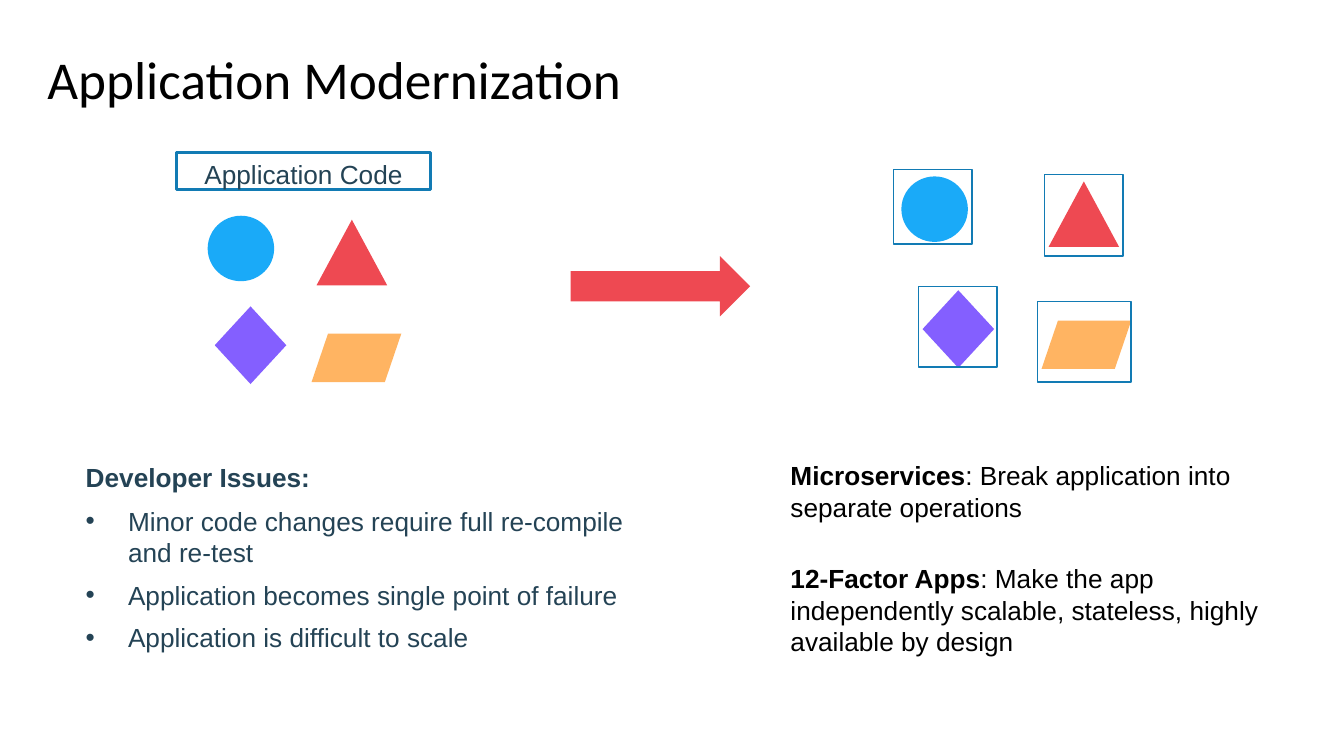
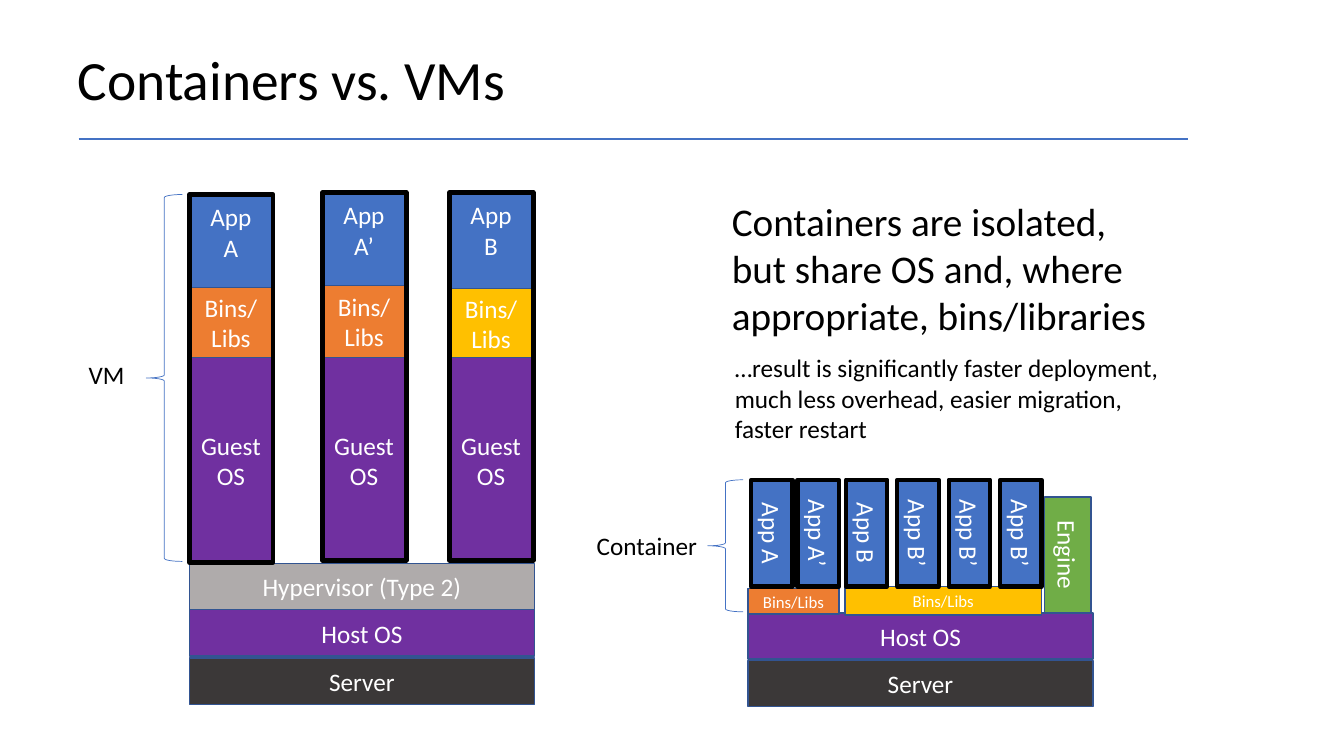
"""Build two slides on application modernization and containers."""
from dataclasses import dataclass

from lxml import etree
from pptx import Presentation
from pptx.dml.color import RGBColor
from pptx.enum.shapes import MSO_CONNECTOR, MSO_SHAPE as Preset
from pptx.enum.text import MSO_ANCHOR as Anchor, MSO_AUTO_SIZE, PP_ALIGN as Align
from pptx.oxml.ns import qn
from pptx.shapes.autoshape import Shape
from pptx.slide import Slide
from pptx.text.text import TextFrame
from pptx.util import Pt

EMU_PER_PX = 9144
COLORS = {
    "black": "000000", "white": "FFFFFF", "slate": "244355", "frame": "127BB4",
    "sky": "1AAAF8", "coral": "EE4952", "violet": "845FFF", "apricot": "FFB462",
    "blue": "4472C4", "edge": "325491", "orange": "ED7D31", "gold": "FFC000",
    "purple": "7030A0", "gray": "AFABAB", "charcoal": "3B3838", "green": "70AD47",
}


@dataclass(frozen=True)
class Box:
    """A place on the slide in px."""
    left: int
    top: int
    width: int
    height: int


@dataclass(frozen=True)
class TextStyle:
    """How the text of a box looks; insets run left, top, right, bottom."""
    size: float
    color: str = "black"
    font: str = "Calibri"
    align: Align = Align.LEFT
    anchor: Anchor = Anchor.TOP
    insets: tuple[int, int, int, int] = (10, 5, 10, 5)
    wrap: bool = True
    vertical: bool = False
    bullet: bool = False
    space_before: float = 0


@dataclass(frozen=True)
class Piece:
    """A colored figure of the application, before and after the split."""
    preset: Preset
    color: str
    before: Box
    after: Box
    frame: Box


@dataclass(frozen=True)
class Note:
    """A paragraph in its own box, opened by bold words."""
    box: Box
    color: str
    lead: str
    body: str = ""


@dataclass(frozen=True)
class Machine:
    """A virtual machine column."""
    left: int
    top: int
    bins_top: int
    app: str
    bins_color: str


@dataclass(frozen=True)
class Block:
    """A labelled layer of a stack."""
    box: Box
    color: str
    text: str
    size: float = 18


NO_INSETS = (0, 0, 0, 0)
CENTERED = dict(color="white", align=Align.CENTER)
LAYER = TextStyle(18, anchor=Anchor.MIDDLE, insets=NO_INSETS, **CENTERED)
SMALL_LAYER = TextStyle(12, anchor=Anchor.MIDDLE, insets=NO_INSETS, **CENTERED)
APP = TextStyle(18, insets=(0, 7, 0, 0), **CENTERED)
UPRIGHT = TextStyle(18, anchor=Anchor.MIDDLE, vertical=True, **CENTERED)
CODE = TextStyle(18.7, "slate", "Arial", Align.CENTER, insets=(0, 6, 0, 0))
BULLETS = TextStyle(18.7, "slate", "Arial", insets=(0, 2, 0, 0), bullet=True, space_before=8)
BRACE_LABEL = TextStyle(18, wrap=False)

PIECES = (
    Piece(Preset.OVAL, "sky", Box(206, 214, 66, 65), Box(894, 175, 66, 65), Box(886, 168, 78, 74)),
    Piece(Preset.ISOSCELES_TRIANGLE, "coral", Box(314, 218, 70, 65), Box(1040, 180, 70, 65),
          Box(1036, 173, 78, 81)),
    Piece(Preset.DIAMOND, "violet", Box(213, 304, 71, 77), Box(915, 288, 71, 77),
          Box(911, 284, 78, 80)),
    Piece(Preset.PARALLELOGRAM, "apricot", Box(309, 331, 89, 48), Box(1033, 318, 89, 48),
          Box(1029, 299, 93, 80)),
)
ISSUES = (
    "Minor code changes require full re-compile and re-test",
    "Application becomes single point of failure",
    "Application is difficult to scale",
)
NOTES = (
    Note(Box(85, 456, 225, 33), "slate", "Developer Issues:"),
    Note(Box(784, 454, 442, 65), "black", "Microservices",
         ": Break application into separate operations"),
    Note(Box(784, 556, 468, 96), "black", "12-Factor Apps",
         ": Make the app independently scalable, stateless, highly available by design"),
)
MACHINES = (
    Machine(188, 193, 285, "A", "orange"),
    Machine(320, 191, 283, "A’", "orange"),
    Machine(446, 191, 286, "B", "gold"),
)
GUEST_TOP, GUEST_BOTTOM = 355, 558
BLOCKS = (
    Block(Box(188, 559, 342, 46), "gray", "Hypervisor (Type 2)"),
    Block(Box(188, 605, 342, 46), "purple", "Host OS"),
    Block(Box(188, 653, 342, 46), "charcoal", "Server"),
    Block(Box(742, 608, 342, 46), "purple", "Host OS"),
    Block(Box(742, 655, 342, 46), "charcoal", "Server"),
    Block(Box(742, 584, 90, 25), "orange", "Bins/Libs", 12),
    Block(Box(838, 582, 195, 28), "gold", "Bins/Libs", 12),
)
CONTAINERS = ((745, "A"), (791, "A’"), (839, "B"), (890, "B’"), (941, "B’"), (992, "B’"))
BRACES = (
    (Box(145, 193, 36, 364), Box(78, 352, 56, 40), "VM"),
    (Box(702, 476, 35, 131), Box(582, 521, 121, 40), "Container"),
)


def px(length: int) -> int:
    """Turn px into EMU."""
    return length * EMU_PER_PX


def place(box: Box) -> tuple[int, int, int, int]:
    """Give a box in EMU."""
    return px(box.left), px(box.top), px(box.width), px(box.height)


def rgb(name: str) -> RGBColor:
    """Look up a color."""
    return RGBColor.from_string(COLORS[name])


def write(frame: TextFrame, lines: tuple[str, ...], style: TextStyle, lead: str = "") -> None:
    """Write one paragraph a line, the first opened by the bold lead."""
    frame.auto_size = MSO_AUTO_SIZE.NONE
    frame.word_wrap = style.wrap
    frame.vertical_anchor = style.anchor
    (frame.margin_left, frame.margin_top,
     frame.margin_right, frame.margin_bottom) = map(px, style.insets)
    if style.vertical:
        frame._txBody.bodyPr.set("vert", "vert")
    for index, line in enumerate(lines):
        paragraph = frame.add_paragraph() if index else frame.paragraphs[0]
        if lead and not index:
            run = paragraph.add_run()
            run.text = lead
            run.font.bold = True
        if line:
            paragraph.add_run().text = line
        if style.bullet:
            properties = paragraph._p.get_or_add_pPr()
            properties.set("marL", str(px(44)))
            properties.set("indent", str(px(-42)))
            etree.SubElement(properties, qn("a:buFont")).set("typeface", "Arial")
            etree.SubElement(properties, qn("a:buChar")).set("char", "•")
        paragraph.alignment = style.align
        paragraph.space_before = Pt(style.space_before if index else 0)
        paragraph.font.name = style.font
        paragraph.font.size = Pt(style.size)
        paragraph.font.color.rgb = rgb(style.color)


def add_figure(slide: Slide, preset: Preset, box: Box, fill: str = "", line: str = "",
               weight: float = 1) -> Shape:
    """Draw a preset shape, with fill and line only where named."""
    shape = slide.shapes.add_shape(preset, *place(box))
    shape.shadow.inherit = False
    if fill:
        shape.fill.solid()
        shape.fill.fore_color.rgb = rgb(fill)
    else:
        shape.fill.background()
    if line:
        shape.line.color.rgb = rgb(line)
        shape.line.width = Pt(weight)
    else:
        shape.line.fill.background()
    return shape


def add_text(slide: Slide, box: Box, lines: tuple[str, ...], style: TextStyle,
             lead: str = "") -> None:
    """Add a text box."""
    write(slide.shapes.add_textbox(*place(box)).text_frame, lines, style, lead)


def add_titled_slide(presentation: Presentation, title: str, left: int, size: float) -> Slide:
    """Add a title-only slide and format its title."""
    slide = presentation.slides.add_slide(presentation.slide_layouts[5])
    shape = slide.shapes.title
    shape.left, shape.top, shape.width, shape.height = place(Box(left, 45, 1100, 66))
    write(shape.text_frame, (title,), TextStyle(size, anchor=Anchor.MIDDLE, insets=NO_INSETS))
    return slide


def add_piece(slide: Slide, piece: Piece) -> None:
    """Draw a piece in the whole application and in its own frame."""
    for box in (piece.before, piece.after):
        shape = add_figure(slide, piece.preset, box, piece.color)
        if piece.preset == Preset.PARALLELOGRAM:
            shape.adjustments[0] = 0.34
    add_figure(slide, Preset.RECTANGLE, piece.frame, line="frame")


def add_machine(slide: Slide, machine: Machine) -> None:
    """Draw a virtual machine: app, libraries and guest system in a frame."""
    layers = (
        (machine.top, machine.bins_top, "blue", "", ("App", machine.app), APP),
        (machine.bins_top, GUEST_TOP, machine.bins_color, "edge", ("Bins/", "Libs"), LAYER),
        (GUEST_TOP, GUEST_BOTTOM, "purple", "edge", ("Guest", "OS"), LAYER),
    )
    for top, bottom, fill, line, lines, style in layers:
        box = Box(machine.left, top, 82, bottom - top)
        write(add_figure(slide, Preset.RECTANGLE, box, fill, line).text_frame, lines, style)
    frame = Box(machine.left, machine.top, 83, 365)
    add_figure(slide, Preset.RECTANGLE, frame, line="black", weight=3.25)


def build_modernization(presentation: Presentation) -> None:
    """Build the slide on splitting an application."""
    slide = add_titled_slide(presentation, "Application Modernization", 47, 38)
    code = add_figure(slide, Preset.RECTANGLE, Box(175, 151, 252, 37), line="frame", weight=2)
    write(code.text_frame, ("Application Code",), CODE)
    for piece in PIECES:
        add_piece(slide, piece)
    add_figure(slide, Preset.RIGHT_ARROW, Box(566, 254, 178, 60), "coral")
    add_text(slide, Box(83, 499, 550, 150), ISSUES, BULLETS)
    for note in NOTES:
        style = TextStyle(18.7, note.color, "Arial", insets=(0, 2, 0, 0))
        add_text(slide, note.box, (note.body,), style, note.lead)


def build_comparison(presentation: Presentation) -> None:
    """Build the slide comparing containers with virtual machines."""
    slide = add_titled_slide(presentation, "Containers vs. VMs", 77, 39.6)
    rule = slide.shapes.add_connector(MSO_CONNECTOR.STRAIGHT, px(78), px(138), px(1178), px(138))
    rule.line.color.rgb = rgb("blue")
    rule.line.width = Pt(1.5)
    etree.SubElement(rule._element.spPr, qn("a:effectLst"))
    for block in BLOCKS:
        shape = add_figure(slide, Preset.FLOWCHART_PROCESS, block.box, block.color, "edge")
        write(shape.text_frame, (block.text,), LAYER if block.size == 18 else SMALL_LAYER)
    for machine in MACHINES:
        add_machine(slide, machine)
    for left, app in CONTAINERS:
        box = Box(left, 476, 41, 106)
        shape = add_figure(slide, Preset.RECTANGLE, box, "blue", "black", 3)
        write(shape.text_frame, (f"App {app}",), UPRIGHT)
    engine = add_figure(slide, Preset.FLOWCHART_PROCESS, Box(1036, 493, 46, 115), "green", "edge")
    write(engine.text_frame, ("Engine",), UPRIGHT)
    for brace, label, text in BRACES:
        add_figure(slide, Preset.LEFT_BRACE, brace, line="blue", weight=0.5)
        add_text(slide, label, (text,), BRACE_LABEL)
    claim = ("Containers are isolated,", "but share OS and, where", "appropriate, bins/libraries")
    add_text(slide, Box(716, 191, 450, 151), claim, TextStyle(28))
    result = ("…result is significantly faster deployment, much less overhead, "
              "easier migration, faster restart")
    add_text(slide, Box(719, 345, 450, 101), (result,), TextStyle(18))


def main() -> None:
    """Build and save the presentation."""
    presentation = Presentation()
    presentation.slide_width, presentation.slide_height = px(1333), px(750)
    build_modernization(presentation)
    build_comparison(presentation)
    presentation.save("out.pptx")


if __name__ == "__main__":
    main()
